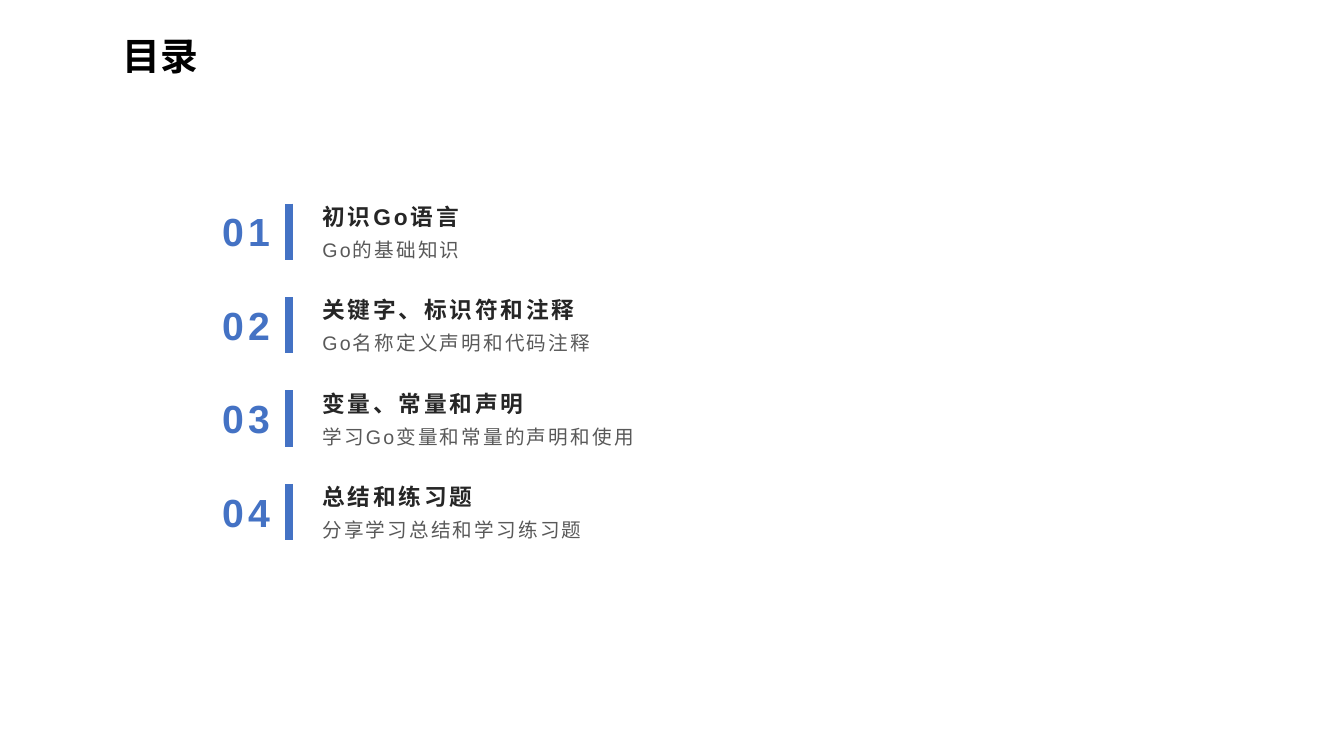
from lxml import etree
from pptx import Presentation
from pptx import util as u
from pptx.dml.color import RGBColor
from pptx.enum import shapes, text
from pptx.oxml.ns import qn

COLORS = {"title": "000000", "heading": "262626", "detail": "595959", "accent": "4472C4"}
CJK_FONT = "Noto Sans CJK SC"
ITEMS = [
    ("初识Go语言", "Go的基础知识"),
    ("关键字、标识符和注释", "Go名称定义声明和代码注释"),
    ("变量、常量和声明", "学习Go变量和常量的声明和使用"),
    ("总结和练习题", "分享学习总结和学习练习题"),
]
FIRST_TOP, PITCH = 1.92, 0.927


class AgendaSlide:
    def __init__(self, page):
        self.page = page

    def label(self, words, left, top, width, height, size, color, bold=False,
              font="Arial", tracking=0, spacing=1.0, insets=(0.1, 0.05, 0.1, 0.05),
              anchor=text.MSO_ANCHOR.TOP, align=text.PP_ALIGN.LEFT):
        box = self.page.shapes.add_textbox(*map(u.Inches, (left, top, width, height)))
        frame = box.text_frame
        frame.word_wrap = True
        frame.vertical_anchor = anchor
        (frame.margin_left, frame.margin_top,
         frame.margin_right, frame.margin_bottom) = map(u.Inches, insets)
        para = frame.paragraphs[0]
        para.text = words
        para.alignment = align
        para.line_spacing = spacing
        para.font.name = font
        para.font.size = u.Pt(size)
        para.font.bold = bold
        para.font.color.rgb = RGBColor.from_string(COLORS[color])
        # Letter spacing and the East Asian typeface
        style = para._p.get_or_add_pPr().get_or_add_defRPr()
        style.set("spc", str(int(tracking * 100)))
        east_asian = etree.Element(qn("a:ea"), typeface=CJK_FONT)
        style.find(qn("a:latin")).addnext(east_asian)

    def bar(self, x, top, bottom):
        line = self.page.shapes.add_connector(
            shapes.MSO_CONNECTOR.STRAIGHT, *map(u.Inches, (x, top, x, bottom)))
        line.line.color.rgb = RGBColor.from_string(COLORS["accent"])
        line.line.width = u.Pt(5.5)
        etree.SubElement(line._element.spPr, qn("a:effectLst"))

    def item(self, number, heading, detail, top):
        self.label(f"{number:02}", 2.05, top + 0.09, 0.78, 0.57, 28, "accent", bold=True,
                   tracking=3, align=text.PP_ALIGN.CENTER)
        self.bar(2.87, top + 0.1, top + 0.66)
        self.label(heading, 3.1, top, 3.76, 0.36, 16.2, "heading", bold=True, tracking=2,
                   spacing=1.1, insets=(0.1, 0.05, 0.1, 0), anchor=text.MSO_ANCHOR.BOTTOM)
        self.label(detail, 3.1, top + 0.39, 3.76, 0.38, 14, "detail", tracking=1.5,
                   spacing=1.2, insets=(0.1, 0, 0.1, 0.05))


def main():
    deck = Presentation()
    deck.slide_width, deck.slide_height = u.Inches(13.33), u.Inches(7.5)
    agenda = AgendaSlide(deck.slides.add_slide(deck.slide_layouts[6]))

    # Title
    agenda.label("目录", 1.09, 0.26, 11.5, 0.63, 27, "title", bold=True, font=CJK_FONT,
                 spacing=0.9, insets=(0.13, 0.07, 0.13, 0.07),
                 anchor=text.MSO_ANCHOR.MIDDLE)

    # Numbered contents
    for index, (heading, detail) in enumerate(ITEMS):
        agenda.item(index + 1, heading, detail, FIRST_TOP + index * PITCH)

    deck.save("out.pptx")


if __name__ == "__main__":
    main()
